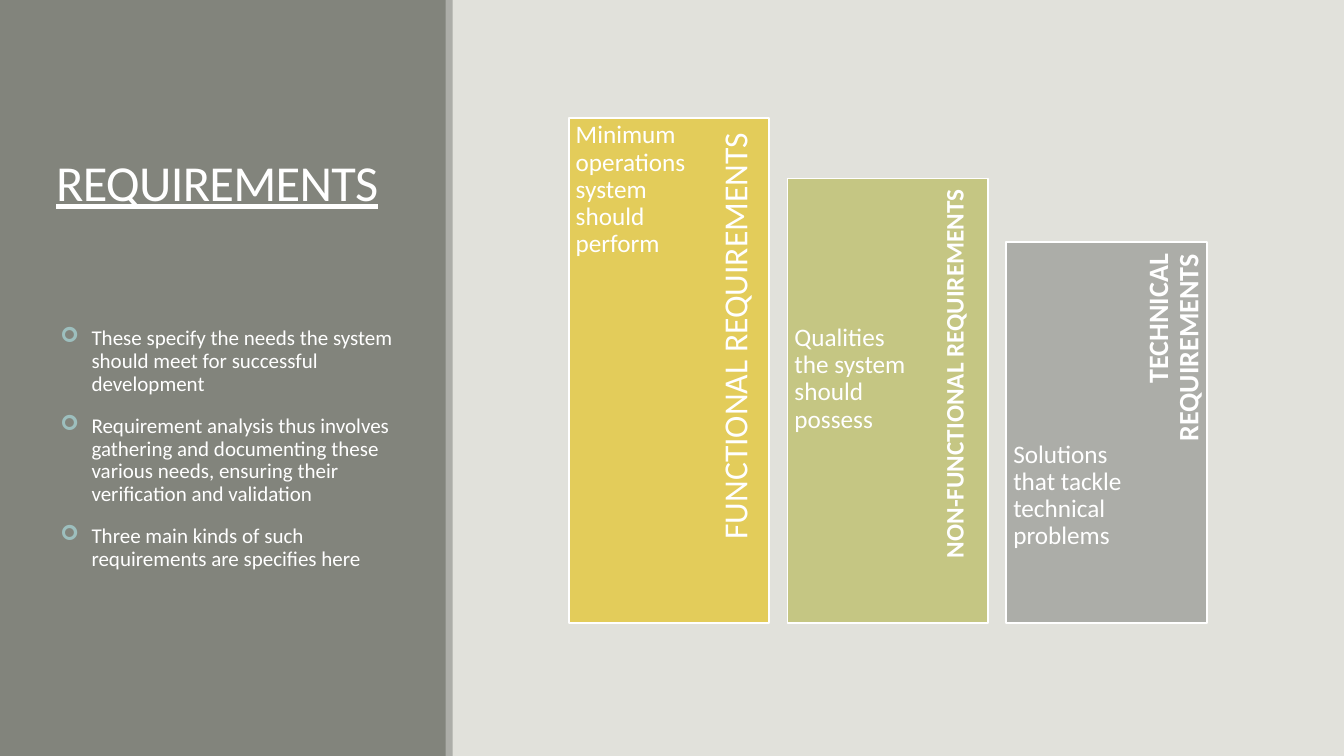
import pptx
import pptx.dml.color
import pptx.enum.shapes
import pptx.enum.text
import pptx.oxml
import pptx.oxml.ns
import pptx.util

Inches = pptx.util.Inches
Pt = pptx.util.Pt
RGBColor = pptx.dml.color.RGBColor
MIDDLE = pptx.enum.text.MSO_ANCHOR.MIDDLE
TOP = pptx.enum.text.MSO_ANCHOR.TOP
LEFT = pptx.enum.text.PP_ALIGN.LEFT
RIGHT = pptx.enum.text.PP_ALIGN.RIGHT

BACKGROUND = RGBColor(0xE1, 0xE1, 0xDB)
PANEL = RGBColor(0x82, 0x84, 0x7C)
GREY = RGBColor(0xAC, 0xAD, 0xA8)
GREEN = RGBColor(0xC5, 0xC6, 0x83)
YELLOW = RGBColor(0xE3, 0xCC, 0x5A)
WHITE = RGBColor(0xFF, 0xFF, 0xFF)
BULLET_COLOR = "9DBFBE"
FONT = "Calibri"

TITLE = "REQUIREMENTS"
POINTS = [
    "These specify the needs the system should meet for successful development",
    "Requirement analysis thus involves gathering and documenting these various needs, "
    "ensuring their verification and validation",
    "Three main kinds of such requirements are specifies here",
]
BARS = [
    dict(label="FUNCTIONAL REQUIREMENTS", size=24, bold=False, color=YELLOW, height=5.01,
         insets=(0.1, 0, 0.15, 0.03), note="Minimum operations system should perform",
         note_top=1.14, note_height=2.02),
    dict(label="NON-FUNCTIONAL REQUIREMENTS", size=18, bold=True, color=GREEN, height=4.41,
         insets=(0.07, 0, 0.11, 0.03), note="Qualities the system should possess",
         note_top=3.15, note_height=1.76),
    dict(label="TECHNICAL REQUIREMENTS", size=20, bold=True, color=GREY, height=3.78,
         insets=(0.12, 0, 0.12, 0.03), note="Solutions that tackle technical problems",
         note_top=4.31, note_height=1.48),
]
BAR_LEFT, BAR_PITCH, BAR_WIDTH, BAR_BOTTOM = 5.64, 2.17, 1.99, 6.18
LABEL_SHARE, LABEL_THICKNESS, LABEL_CENTER = 0.9, 0.52, 1.68
NOTE_WIDTH = 1.41
NOTE_INSETS = (0.07, 0.07, 0.07, 0.07)
DEFAULT_INSETS = (0.1, 0.05, 0.1, 0.05)


def add_rect(s, left, top, width, height, color, outlined=False):
    sp = s.shapes.add_shape(pptx.enum.shapes.MSO_SHAPE.RECTANGLE,
                            Inches(left), Inches(top), Inches(width), Inches(height))
    sp.shadow.inherit = False
    sp.fill.solid()
    sp.fill.fore_color.rgb = color
    if outlined:
        sp.line.color.rgb = WHITE
        sp.line.width = Pt(1.25)
    else:
        sp.line.fill.background()


def add_text(s, box, texts, size, insets=DEFAULT_INSETS, anchor=TOP, align=LEFT,
             spacing=0.9, bold=False, bulleted=False):
    sp = s.shapes.add_textbox(*[Inches(v) for v in box])
    tf = sp.text_frame
    tf.word_wrap = True
    tf.vertical_anchor = anchor
    tf.margin_left, tf.margin_top, tf.margin_right, tf.margin_bottom = map(Inches, insets)
    for i, text in enumerate(texts):
        p = tf.paragraphs[0] if i == 0 else tf.add_paragraph()
        p.alignment = align
        p.line_spacing = spacing
        if bulleted:
            p.space_before = Pt(12 if i else 0)
            p.space_after = Pt(2)
            add_bullet(p)
        r = p.add_run()
        r.text = text
        r.font.name = FONT
        r.font.size = Pt(size)
        r.font.bold = bold
        r.font.color.rgb = WHITE
    return sp


def add_bullet(p):
    ns = pptx.oxml.ns.nsdecls("a")
    pPr = p._p.get_or_add_pPr()
    pPr.set("marL", str(Inches(0.31)))
    pPr.set("indent", str(Inches(-0.31)))
    for xml in (f'<a:buClr {ns}><a:srgbClr val="{BULLET_COLOR}"/></a:buClr>',
                f'<a:buFont {ns} typeface="Wingdings"/>',
                f'<a:buChar {ns} char="➢"/>'):
        pPr.append(pptx.oxml.parse_xml(xml))


def add_bar(s, i, bar):
    left = BAR_LEFT + i * BAR_PITCH
    top = BAR_BOTTOM - bar["height"]
    add_rect(s, left, top, BAR_WIDTH, bar["height"], bar["color"], outlined=True)
    length = bar["height"] * LABEL_SHARE
    label_box = (left + LABEL_CENTER - length / 2, top + (length - LABEL_THICKNESS) / 2,
                 length, LABEL_THICKNESS)
    label = add_text(s, label_box, [bar["label"]], bar["size"], bar["insets"],
                     MIDDLE, RIGHT, bold=bar["bold"])
    label.rotation = 270
    note_box = (left, bar["note_top"], NOTE_WIDTH, bar["note_height"])
    add_text(s, note_box, [bar["note"]], 18, NOTE_INSETS)


def main():
    prs = pptx.Presentation()
    prs.slide_width, prs.slide_height = Inches(13.33), Inches(7.5)
    s = prs.slides.add_slide(prs.slide_layouts[6])
    s.background.fill.solid()
    s.background.fill.fore_color.rgb = BACKGROUND

    add_rect(s, 0, 0, 4.43, 7.5, PANEL)
    add_rect(s, 4.42, 0, 0.07, 7.5, GREY)

    title = add_text(s, (0.46, 0.6, 3.5, 2.5), [TITLE], 36, anchor=MIDDLE, spacing=0.85)
    r = title.text_frame.paragraphs[0].runs[0]
    r.font.underline = True
    r.font._element.set("spc", "-50")

    for i, bar in enumerate(BARS):
        add_bar(s, i, bar)

    add_text(s, (0.5, 3.2, 3.5, 3.7), POINTS, 15, bulleted=True)
    prs.save("out.pptx")


if __name__ == "__main__":
    main()
